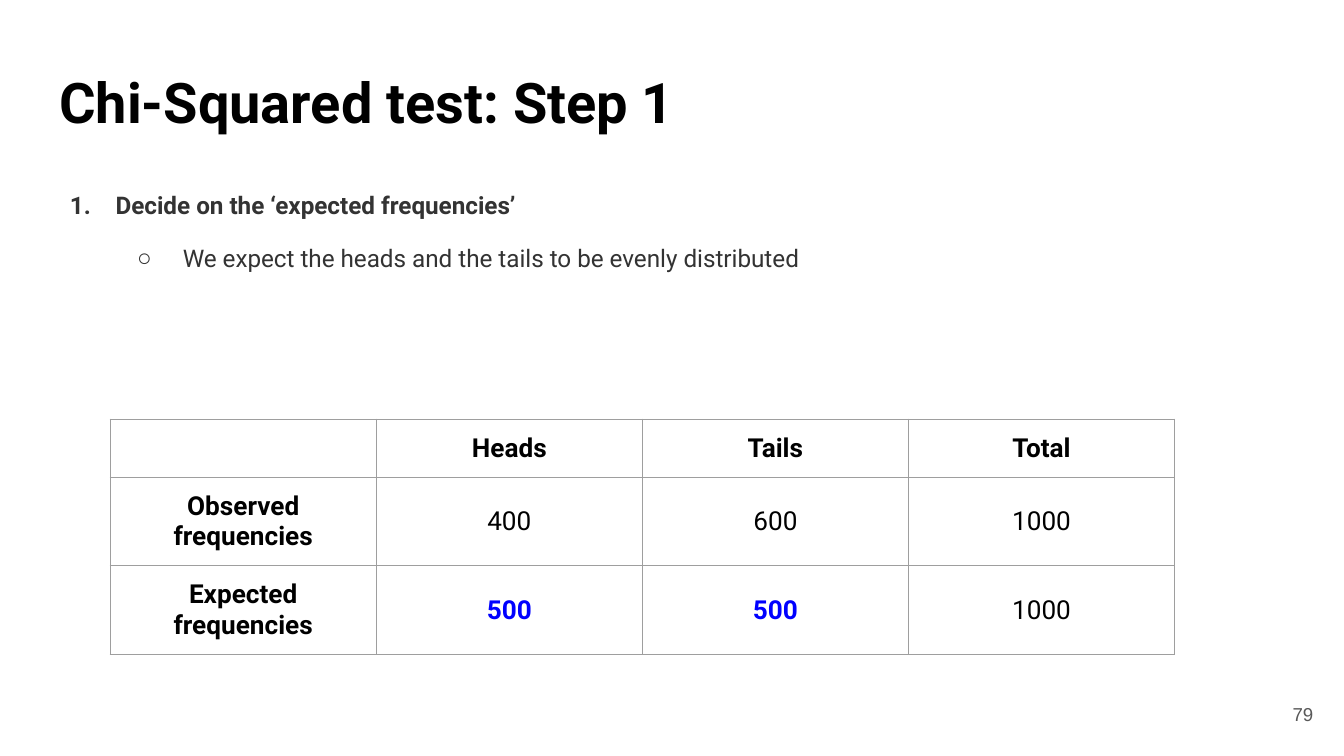
from lxml import etree
from pptx import Presentation
from pptx import util as u
from pptx.dml.color import RGBColor
from pptx.enum import text
from pptx.oxml import ns

COLORS = {
    "black": "000000",
    "body": "333333",
    "number": "595959",
    "border": "9E9E9E",
    "highlight": "0000FF",
}
FONT = "Roboto"
FREQUENCIES = [
    ["", "Heads", "Tails", "Total"],
    ["Observed frequencies", "400", "600", "1000"],
    ["Expected frequencies", "500", "500", "1000"],
]


def place(shape, left, top, width, height):
    shape.left, shape.top = u.Inches(left), u.Inches(top)
    shape.width, shape.height = u.Inches(width), u.Inches(height)


def set_margins(holder, margin):
    """Give a text frame or table cell the same margin, in inches, on all sides."""
    holder.margin_left = holder.margin_right = u.Inches(margin)
    holder.margin_top = holder.margin_bottom = u.Inches(margin)


def set_font(paragraph, size, color, bold=False, name=FONT):
    font = paragraph.font
    font.name, font.size, font.bold = name, u.Pt(size), bold
    font.color.rgb = RGBColor.from_string(COLORS[color])


def prepare_frame(frame, margin, anchor):
    frame.word_wrap = True
    frame.auto_size = text.MSO_AUTO_SIZE.NONE
    frame.vertical_anchor = anchor
    set_margins(frame, margin)


def add_element(parent, tag, **attributes):
    return etree.SubElement(parent, ns.qn(tag), **attributes)


def set_bullet(paragraph, indent, font, tag, **attributes):
    """Add a hanging bullet; call before other paragraph formatting."""
    properties = paragraph._p.get_or_add_pPr()
    properties.set("marL", str(u.Inches(indent)))
    properties.set("indent", str(u.Inches(-0.34)))
    color = add_element(properties, "a:buClr")
    add_element(color, "a:srgbClr", val=COLORS["body"])
    add_element(properties, "a:buFont", typeface=font)
    add_element(properties, tag, **attributes)


def add_title(slide):
    title = slide.shapes.title
    place(title, 0.34, 0.4, 9.32, 0.63)
    prepare_frame(title.text_frame, 0.1, text.MSO_ANCHOR.TOP)
    title.text_frame.text = "Chi-Squared test: Step 1"
    paragraph = title.text_frame.paragraphs[0]
    paragraph.alignment = text.PP_ALIGN.LEFT
    set_font(paragraph, 30, "black", bold=True)


def add_steps(slide):
    body = slide.placeholders[1]
    place(body, 0.36, 1.37, 8.25, 1.1)
    frame = body.text_frame
    prepare_frame(frame, 0, text.MSO_ANCHOR.TOP)
    frame.text = (
        "Decide on the ‘expected frequencies’\n"
        "We expect the heads and the tails to be evenly distributed"
    )
    step, detail = frame.paragraphs
    detail.level = 1
    set_bullet(step, 0.5, FONT, "a:buAutoNum", type="arabicPeriod")
    set_bullet(detail, 1, "Arial", "a:buChar", char="○")
    for paragraph, space, bold in ((step, 0, True), (detail, 10, False)):
        paragraph.line_spacing = 1.2
        paragraph.space_before = u.Pt(space)
        set_font(paragraph, 13, "body", bold)


def set_borders(cell):
    properties = cell._tc.get_or_add_tcPr()
    for side in ("L", "R", "T", "B"):
        line = add_element(properties, f"a:ln{side}", w=str(u.Pt(0.75)))
        fill = add_element(line, "a:solidFill")
        add_element(fill, "a:srgbClr", val=COLORS["border"])


def fill_cell(cell, value, bold, color):
    set_borders(cell)
    cell.fill.background()
    if not value:
        return
    cell.text = value
    cell.vertical_anchor = text.MSO_ANCHOR.MIDDLE
    set_margins(cell, 0.1)
    paragraph = cell.text_frame.paragraphs[0]
    paragraph.alignment = text.PP_ALIGN.CENTER
    set_font(paragraph, 14, color, bold)


def add_frequency_table(slide):
    rows, columns = len(FREQUENCIES), len(FREQUENCIES[0])
    table = slide.shapes.add_table(
        rows, columns, u.Inches(0.82), u.Inches(3.12),
        u.Inches(1.98 * columns), u.Inches(0.42 * rows),
    ).table
    for row, values in enumerate(FREQUENCIES):
        for column, value in enumerate(values):
            expected = value == "500"
            bold = row == 0 or column == 0 or expected
            color = "highlight" if expected else "black"
            fill_cell(table.cell(row, column), value, bold, color)


def add_slide_number(slide):
    box = slide.shapes.add_textbox(
        u.Inches(9.27), u.Inches(5.1), u.Inches(0.6), u.Inches(0.43)
    )
    prepare_frame(box.text_frame, 0.1, text.MSO_ANCHOR.MIDDLE)
    box.text_frame.text = "79"
    paragraph = box.text_frame.paragraphs[0]
    paragraph.alignment = text.PP_ALIGN.RIGHT
    set_font(paragraph, 10, "number", name="Arial")


def main():
    presentation = Presentation()
    presentation.slide_width = u.Inches(10)
    presentation.slide_height = presentation.slide_width * 9 // 16
    slide = presentation.slides.add_slide(presentation.slide_layouts[1])
    add_title(slide)
    add_steps(slide)
    add_slide_number(slide)
    add_frequency_table(slide)
    presentation.save("out.pptx")


if __name__ == "__main__":
    main()
